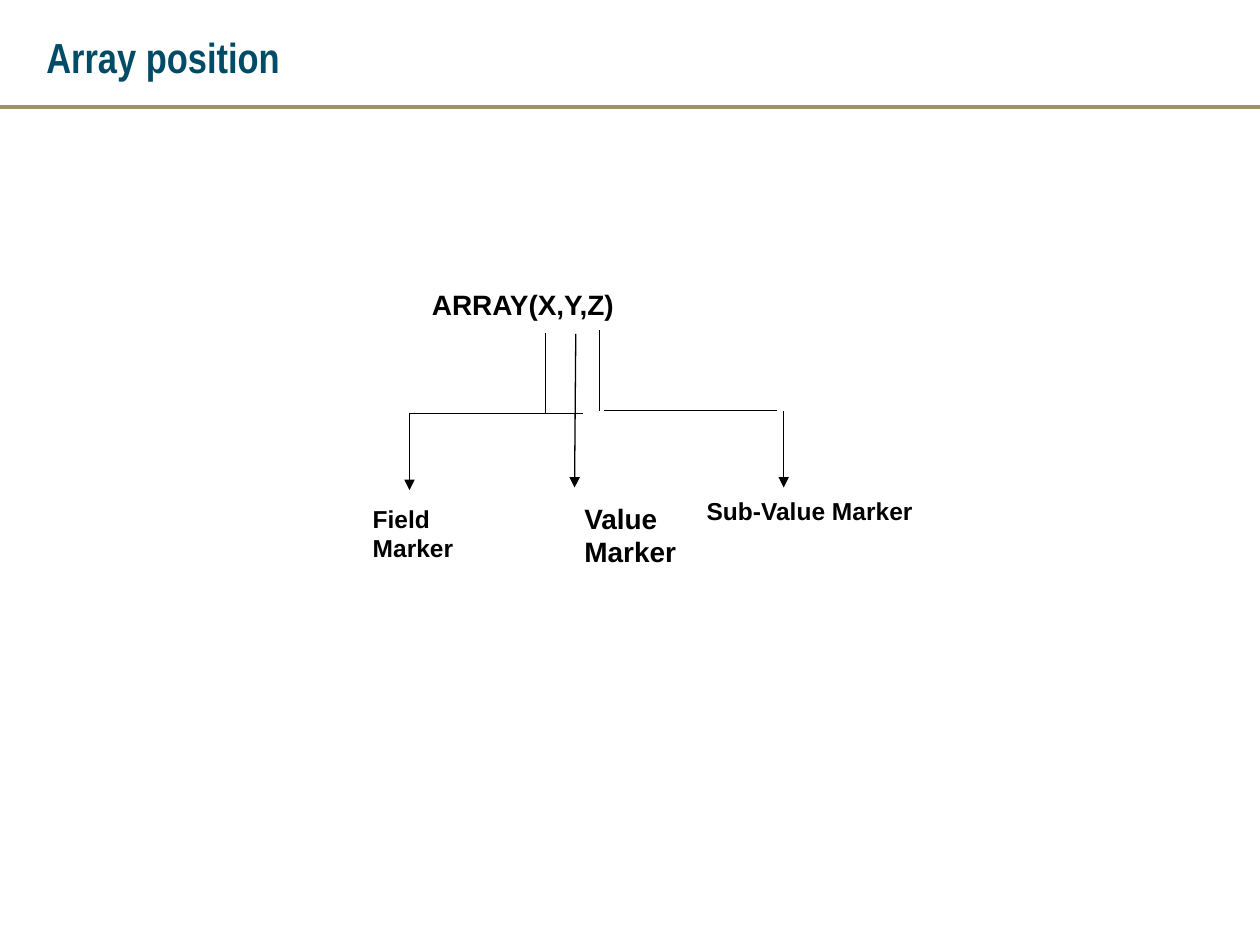
from dataclasses import dataclass

from lxml import etree
from pptx import Presentation
from pptx.dml.color import RGBColor
from pptx.enum.shapes import MSO_CONNECTOR
from pptx.enum.text import MSO_ANCHOR
from pptx.oxml.ns import qn
from pptx.util import Inches, Pt

STRAIGHT = MSO_CONNECTOR.STRAIGHT
TOP = MSO_ANCHOR.TOP
MIDDLE = MSO_ANCHOR.MIDDLE


@dataclass(frozen=True)
class Theme:
    ink: RGBColor = RGBColor(0x00, 0x00, 0x00)
    heading: RGBColor = RGBColor(0x00, 0x4B, 0x66)
    rule: RGBColor = RGBColor(0x9F, 0x94, 0x66)
    heading_font: str = "Arial Narrow"
    body_font: str = "Arial"
    heading_size: int = 24
    large: int = 16
    small: int = 14
    rule_width: float = 2
    line_width: float = 0.75


class SlideBuilder:
    def __init__(self, slide, theme):
        self.slide = slide
        self.theme = theme

    def text(self, words, left, top, width, height, size,
             font=None, color=None, anchor=TOP):
        box = self.slide.shapes.add_textbox(
            Inches(left), Inches(top), Inches(width), Inches(height))
        frame = box.text_frame
        frame.word_wrap = True
        frame.vertical_anchor = anchor
        span = frame.paragraphs[0].add_run()
        span.text = words
        span.font.name = font or self.theme.body_font
        span.font.size = Pt(size)
        span.font.bold = True
        span.font.color.rgb = color or self.theme.ink

    def title(self, words):
        self.text(words, 0.27, 0.15, 9.53, 0.6, self.theme.heading_size,
                  self.theme.heading_font, self.theme.heading, MIDDLE)

    def line(self, start, end, color=None, width=None):
        connector = self.slide.shapes.add_connector(
            STRAIGHT, *(Inches(value) for value in (*start, *end)))
        connector.line.color.rgb = color or self.theme.ink
        connector.line.width = Pt(width or self.theme.line_width)
        properties = connector._element.spPr
        etree.SubElement(properties, qn("a:effectLst"))
        return connector

    def arrow(self, start, end):
        outline = self.line(start, end).line._get_or_add_ln()
        etree.SubElement(outline, qn("a:tailEnd"), type="triangle")


def main():
    theme = Theme()
    deck = Presentation()
    deck.slide_width, deck.slide_height = Inches(10), Inches(7.5)
    page = SlideBuilder(deck.slides.add_slide(deck.slide_layouts[6]), theme)

    # Heading and rule
    page.line((0, 0.85), (10, 0.85), theme.rule, theme.rule_width)
    page.title("Array position")

    # Array expression
    page.text("ARRAY(X,Y,Z)", 3.33, 2.23, 2.2, 0.37, theme.large)

    # X and Z branches: stem, crossbar from left to right, arrow down
    stem, drop, span = 0.64, 0.61, 1.38
    branches = [
        (4.33, 3.28, 3.25, 3.25),
        (4.76, 3.26, 4.79, 6.22),
    ]
    for stem_x, bar_y, bar_x, arrow_x in branches:
        page.line((stem_x, bar_y - stem), (stem_x, bar_y))
        page.line((bar_x, bar_y), (bar_x + span, bar_y))
        page.arrow((arrow_x, bar_y), (arrow_x, bar_y + drop))

    # Y branch
    page.arrow((4.57, 2.65), (4.56, 3.87))

    # Marker labels
    page.text("Field Marker", 2.86, 3.95, 1.2, 0.57, theme.small)
    page.text("Value Marker", 4.54, 3.93, 1.2, 0.64, theme.large)
    page.text("Sub-Value Marker", 5.51, 3.89, 1.89, 0.34, theme.small)

    deck.save("out.pptx")


if __name__ == "__main__":
    main()
